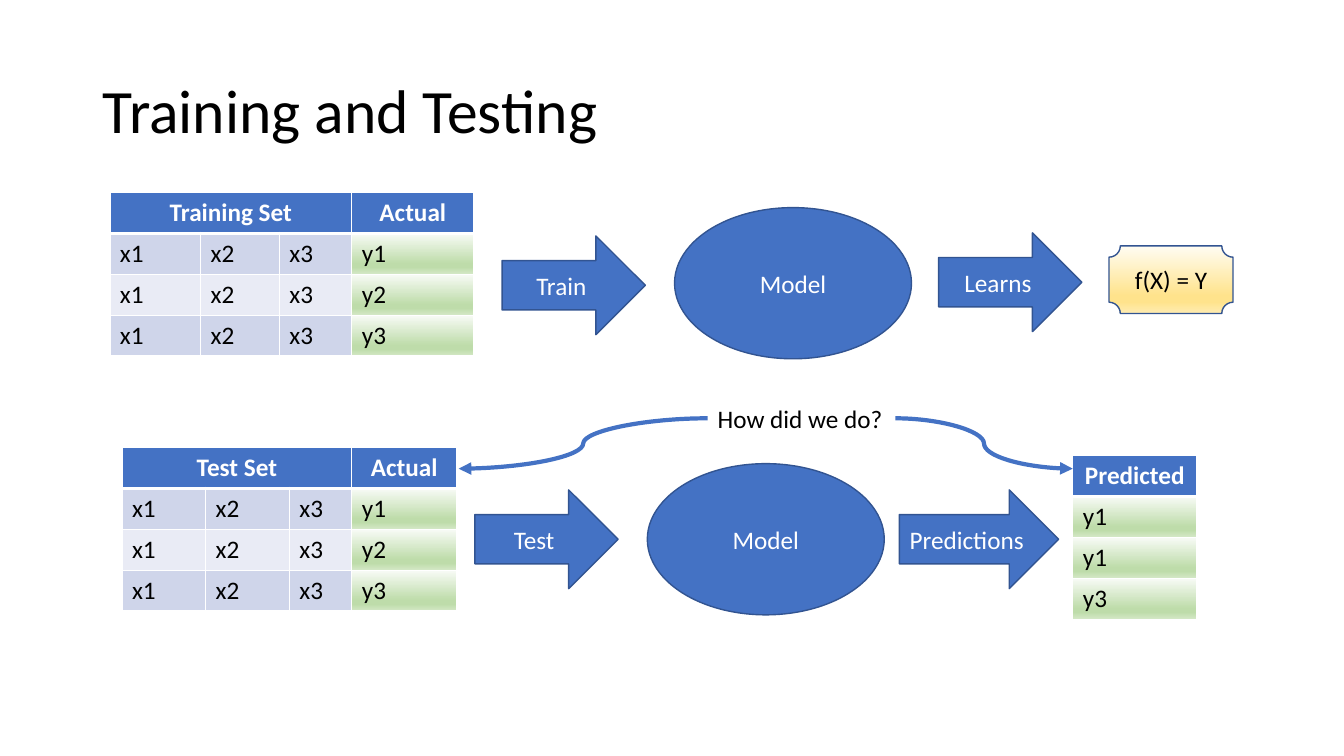
from dataclasses import dataclass
from typing import Any

from lxml.etree import SubElement
from pptx import Presentation
from pptx.dml.color import RGBColor
from pptx.enum.shapes import MSO_CONNECTOR, MSO_SHAPE
from pptx.enum.text import MSO_ANCHOR, MSO_AUTO_SIZE, PP_ALIGN
from pptx.oxml.ns import qn
from pptx.util import Inches, Pt

Stops = tuple[tuple[int, str], ...]


@dataclass(frozen=True)
class Theme:
    font: str = "Calibri"
    head: int = 44
    body: int = 18
    blue: str = "4472C4"
    edge: str = "325491"
    white: str = "FFFFFF"
    black: str = "000000"
    bands: tuple[str, str] = ("CFD5EA", "E9EBF5")
    green: Stops = ((0, "F8FBF6"), (74, "BEDCAA"), (83, "BEDCAA"), (100, "D4E8C6"))
    gold: Stops = ((0, "FFFCF2"), (74, "FFE38C"), (83, "FFE38C"), (100, "FFECB2"))


THEME = Theme()


@dataclass(frozen=True)
class Node:
    kind: MSO_SHAPE
    text: str
    box: tuple[float, float, float, float]
    fill: str | Stops = THEME.blue
    ink: str = THEME.white


@dataclass(frozen=True)
class Grid:
    left: float
    top: float
    cols: tuple[float, ...]
    rows: tuple[tuple[str, ...], ...]


@dataclass(frozen=True)
class Curve:
    start: tuple[float, float]
    end: tuple[float, float]


ROW = 1.62 / 4
INPUTS = ("x1", "x2", "x3")


def samples(name: str) -> tuple[tuple[str, ...], ...]:
    """Rows of a labelled set; the name spans the input columns."""
    return ((name, "", "", "Actual"), *((*INPUTS, y) for y in ("y1", "y2", "y3")))


GRIDS = (
    Grid(1.09, 1.91, (0.9, 0.78, 0.72, 1.21), samples("Training Set")),
    Grid(1.21, 4.44, (0.83, 0.83, 0.62, 1.04), samples("Test Set")),
    Grid(10.64, 4.52, (1.23,), (("Predicted",), ("y1",), ("y1",), ("y3",))),
)
ARROW, OVAL = MSO_SHAPE.RIGHT_ARROW, MSO_SHAPE.OVAL
NODES = (
    Node(ARROW, "Train", (4.98, 2.34, 1.42, 0.98)),
    Node(OVAL, "Model", (6.69, 2.06, 2.35, 1.5)),
    Node(ARROW, "Learns", (9.31, 2.31, 1.42, 0.98)),
    Node(MSO_SHAPE.PLAQUE, "f(X) = Y", (11, 2.44, 1.23, 0.67), THEME.gold, THEME.black),
    Node(ARROW, "Test", (4.71, 4.86, 1.42, 0.98)),
    Node(OVAL, "Model", (6.42, 4.6, 2.35, 1.5)),
    Node(ARROW, "Predictions", (8.92, 4.86, 1.58, 0.98)),
)
CURVES = (Curve((8.88, 4.15), (10.64, 4.65)), Curve((7.02, 4.15), (4.55, 4.65)))


def put(item: Any, **values: Any) -> None:
    for name, value in values.items():
        setattr(item, name, value)


def write(frame: Any, text: str, ink: str, align: PP_ALIGN = PP_ALIGN.LEFT,
          size: int = THEME.body, bold: bool = False) -> None:
    frame.text = text
    para = frame.paragraphs[0]
    para.alignment = align
    for run in para.runs:
        put(run.font, name=THEME.font, size=Pt(size), bold=bold)
        run.font.color.rgb = RGBColor.from_string(ink)


def paint(fill: Any, root: Any, look: str | Stops) -> None:
    """Fill with one colour, or with a downward blend of stops."""
    if isinstance(look, str):
        fill.solid()
        fill.fore_color.rgb = RGBColor.from_string(look)
        return
    fill.gradient()
    fill.gradient_angle = 270
    stops = root.xpath(".//a:gsLst")[0]
    for old in list(stops):
        stops.remove(old)
    for place, tint in look:
        stop = SubElement(stops, qn("a:gs"), pos=str(place * 1000))
        SubElement(stop, qn("a:srgbClr"), val=tint)


def border(cell: Any, row: int) -> None:
    """White rules, thick between the header and the rows."""
    props = cell._tc.get_or_add_tcPr()
    widths = {"L": 1, "R": 1, "T": 3 if row == 1 else 1, "B": 3 if row == 0 else 1}
    for side, width in widths.items():
        line = SubElement(props, qn(f"a:ln{side}"), w=str(Pt(width)))
        SubElement(SubElement(line, qn("a:solidFill")), qn("a:srgbClr"), val=THEME.white)


def draw_grid(slide: Any, grid: Grid) -> None:
    count, wide = len(grid.rows), len(grid.cols)
    spot = map(Inches, (grid.left, grid.top, sum(grid.cols), ROW * count))
    table = slide.shapes.add_table(count, wide, *spot).table
    table.horz_banding = False
    for col, width in zip(table.columns, grid.cols):
        col.width = Inches(width)
    for r, texts in enumerate(grid.rows):
        table.rows[r].height = Inches(ROW)
        for c, text in enumerate(texts):
            cell = table.cell(r, c)
            border(cell, r)
            if r == 0:
                look, ink, align = THEME.blue, THEME.white, PP_ALIGN.CENTER
            else:
                look = THEME.green if c == wide - 1 else THEME.bands[(r - 1) % 2]
                ink, align = THEME.black, PP_ALIGN.LEFT
            paint(cell.fill, cell._tc, look)
            if text:
                write(cell.text_frame, text, ink, align, bold=r == 0)
    if wide > 1:
        table.cell(0, 0).merge(table.cell(0, wide - 2))


def draw_node(slide: Any, node: Node) -> None:
    shape = slide.shapes.add_shape(node.kind, *map(Inches, node.box))
    shape.shadow.inherit = False
    paint(shape.fill, shape._element, node.fill)
    shape.line.width = Pt(1)
    shape.line.color.rgb = RGBColor.from_string(THEME.edge)
    shape.text_frame.vertical_anchor = MSO_ANCHOR.MIDDLE
    write(shape.text_frame, node.text, node.ink, PP_ALIGN.CENTER)


def draw_curve(slide: Any, curve: Curve) -> None:
    ends = map(Inches, (*curve.start, *curve.end))
    link = slide.shapes.add_connector(MSO_CONNECTOR.CURVE, *ends)
    link.line.width = Pt(3)
    link.line.color.rgb = RGBColor.from_string(THEME.blue)
    SubElement(link.line._get_or_add_ln(), qn("a:tailEnd"), type="triangle")
    SubElement(link._element.spPr, qn("a:effectLst"))


def draw_title(slide: Any, text: str) -> None:
    title = slide.shapes.title
    put(title, left=Inches(0.92), top=Inches(0.4), width=Inches(11.5), height=Inches(1.45))
    title.text_frame.vertical_anchor = MSO_ANCHOR.MIDDLE
    write(title.text_frame, text, THEME.black, size=THEME.head)
    title.text_frame.paragraphs[0].line_spacing = 0.9


def draw_label(slide: Any, text: str) -> None:
    label = slide.shapes.add_textbox(*map(Inches, (7.02, 3.95, 1.86, 0.4)))
    put(label.text_frame, word_wrap=False, auto_size=MSO_AUTO_SIZE.SHAPE_TO_FIT_TEXT)
    write(label.text_frame, text, THEME.black)


def main() -> None:
    deck = Presentation()
    put(deck, slide_width=Inches(13.33), slide_height=Inches(7.5))
    slide = deck.slides.add_slide(deck.slide_layouts[5])
    draw_title(slide, "Training and Testing")
    for grid in GRIDS:
        draw_grid(slide, grid)
    for node in NODES:
        draw_node(slide, node)
    for curve in CURVES:
        draw_curve(slide, curve)
    draw_label(slide, "How did we do?")
    deck.save("out.pptx")


if __name__ == "__main__":
    main()
